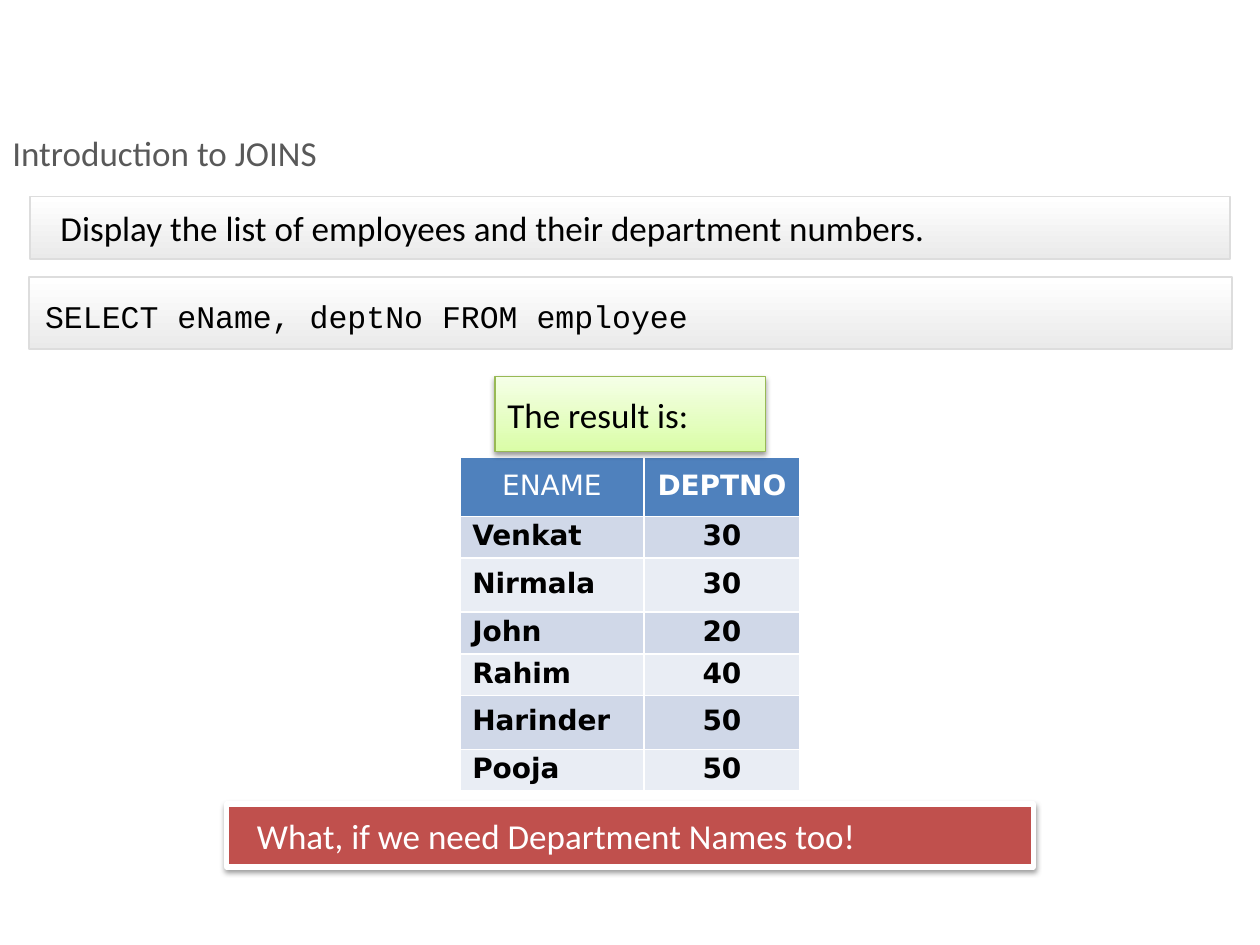
from lxml.etree import SubElement as Sub
from pptx import Presentation
from pptx.dml.color import RGBColor as RGB
from pptx.enum.shapes import MSO_SHAPE as Shape
from pptx.enum.text import MSO_ANCHOR as Anchor, PP_ALIGN as Align
from pptx.oxml.ns import qn
from pptx.util import Cm, Pt

BLACK = RGB(0x00, 0x00, 0x00)
WHITE = RGB(0xFF, 0xFF, 0xFF)
GREY = RGB(0x59, 0x59, 0x59)
PALE = RGB(0xEA, 0xEA, 0xEA)
EDGE = RGB(0xDD, 0xDD, 0xDD)
MINT = RGB(0xF5, 0xFF, 0xE7)
LIME = RGB(0xDA, 0xFD, 0xA7)
GREEN = RGB(0x98, 0xB9, 0x55)
RED = RGB(0xC0, 0x50, 0x4D)
BLUE = RGB(0x4F, 0x81, 0xBD)
BANDS = RGB(0xD0, 0xD8, 0xE8), RGB(0xE9, 0xED, 0xF4)

ROWS = [
    ("ENAME", "DEPTNO"),
    ("Venkat", "30"),
    ("Nirmala", "30"),
    ("John", "20"),
    ("Rahim", "40"),
    ("Harinder", "50"),
    ("Pooja", "50"),
]
WIDTHS = 3.71, 3.15
HEIGHTS = 1.19, 0.84, 1.09, 0.84, 0.84, 1.09, 0.84


def style(para, text, color, size=20, name="Calibri", bold=False):
    para.text = text
    font = para.font
    font.name, font.size, font.bold = name, Pt(size), bold
    font.color.rgb = color


def add_text(slide, box, text, color, **font):
    frame = slide.shapes.add_textbox(*map(Cm, box)).text_frame
    frame.word_wrap = True
    para = frame.paragraphs[0]
    style(para, text, color, **font)
    return para


def add_panel(slide, box, fills, edge, width):
    """Rectangle with a plain fill, or a gradient from top to bottom."""
    panel = slide.shapes.add_shape(Shape.RECTANGLE, *map(Cm, box))
    panel.shadow.inherit = False
    if len(fills) == 1:
        panel.fill.solid()
        panel.fill.fore_color.rgb = fills[0]
    else:
        panel.fill.gradient()
        panel.fill.gradient_angle = 270
        for stop, color in zip(panel.fill.gradient_stops, fills):
            stop.color.rgb = color
    panel.line.color.rgb = edge
    panel.line.width = Pt(width)
    return panel


def label(panel, text, color, inset):
    frame = panel.text_frame
    frame.word_wrap = True
    frame.vertical_anchor = Anchor.MIDDLE
    frame.margin_left = frame.margin_right = Cm(inset)
    frame.margin_top = frame.margin_bottom = 0
    para = frame.paragraphs[0]
    para.alignment = Align.LEFT
    style(para, text, color)


def add_shade(panel):
    effects = panel._element.spPr.find(qn("a:effectLst"))
    shade = Sub(effects, qn("a:outerShdw"), blurRad="40000", dist="20000",
                dir="5400000", rotWithShape="0")
    tint = Sub(shade, qn("a:srgbClr"), val=str(BLACK))
    Sub(tint, qn("a:alpha"), val="38000")


def add_grid(slide, left, top):
    box = left, top, sum(WIDTHS), sum(HEIGHTS)
    grid = slide.shapes.add_table(len(ROWS), len(WIDTHS), *map(Cm, box)).table
    for col, width in zip(grid.columns, WIDTHS):
        col.width = Cm(width)
    for r, (texts, height) in enumerate(zip(ROWS, HEIGHTS)):
        grid.rows[r].height = Cm(height)
        head = r == 0
        for c, text in enumerate(texts):
            cell = grid.cell(r, c)
            cell.fill.solid()
            cell.fill.fore_color.rgb = BLUE if head else BANDS[(r - 1) % 2]
            cell.vertical_anchor = Anchor.MIDDLE
            cell.margin_left = cell.margin_right = Cm(0 if head else 0.25)
            cell.margin_top = cell.margin_bottom = 0
            para = cell.text_frame.paragraphs[0]
            para.alignment = Align.CENTER if head or c else Align.LEFT
            para.line_spacing = 0.86
            style(para, text, WHITE if head else BLACK, size=16,
                  name="DejaVu Sans", bold=text != "ENAME")


def main():
    deck = Presentation()
    deck.slide_width, deck.slide_height = Cm(25.4), Cm(19.05)
    slide = deck.slides.add_slide(deck.slide_layouts[6])

    # Title
    title = add_text(slide, (0, 2.11, 18.01, 1.37), "Introduction to JOINS", GREY)
    title.line_spacing = 1.5

    # Task and query
    task = add_panel(slide, (0.61, 3.96, 24.18, 1.27), (WHITE, PALE), EDGE, 1)
    label(task, "Display the list of employees and their department numbers.",
          BLACK, 0.61)
    add_panel(slide, (0.58, 5.59, 24.26, 1.45), (WHITE, PALE), EDGE, 1)
    add_text(slide, (0.66, 5.87, 24.1, 1.02), "SELECT eName, deptNo FROM employee",
             BLACK, size=18, name="Courier New")

    # Result
    add_grid(slide, 9.27, 9.22)
    result = add_panel(slide, (9.98, 7.59, 5.46, 1.52), (MINT, LIME), GREEN, 0.75)
    label(result, "The result is:", BLACK, 0.25)
    add_shade(result)

    # Closing question
    query = add_panel(slide, (4.57, 16.21, 16.26, 1.27), (RED,), WHITE, 3)
    label(query, "What, if we need Department Names too!", WHITE, 0.61)
    add_shade(query)

    deck.save("out.pptx")


if __name__ == "__main__":
    main()
